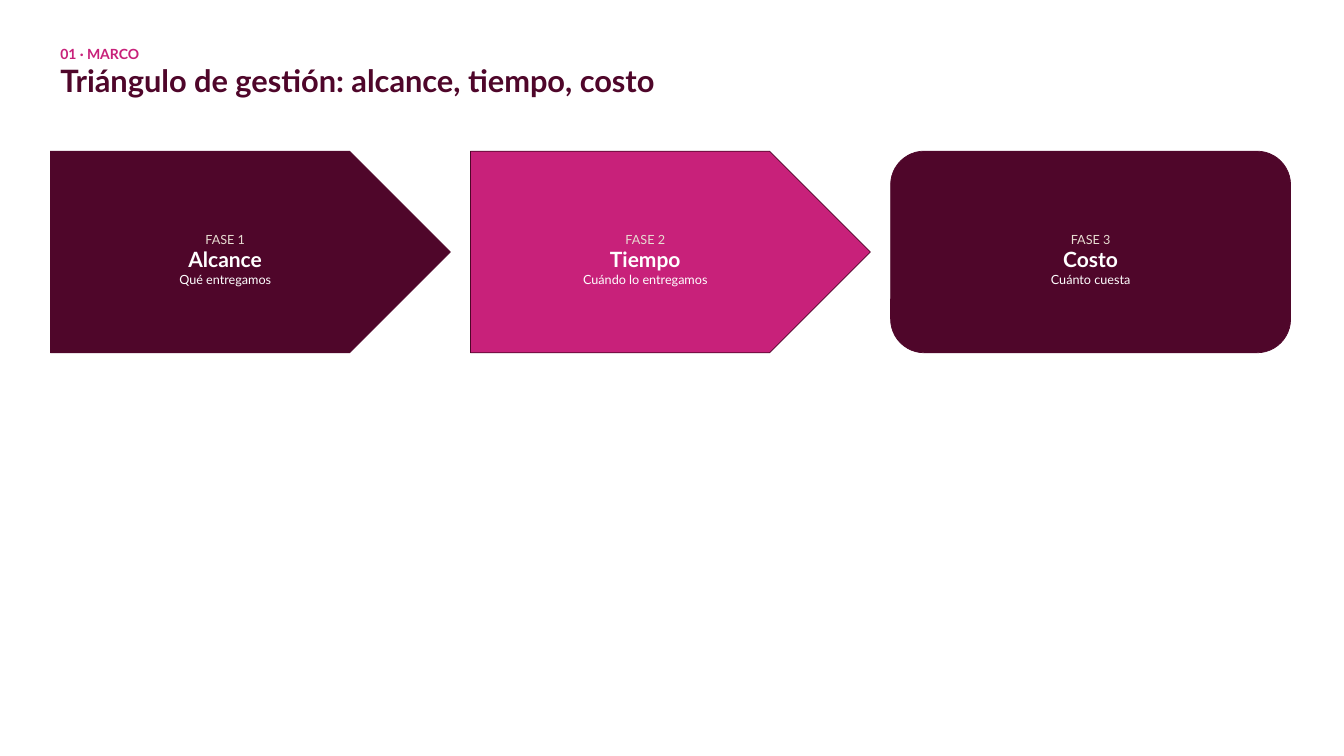
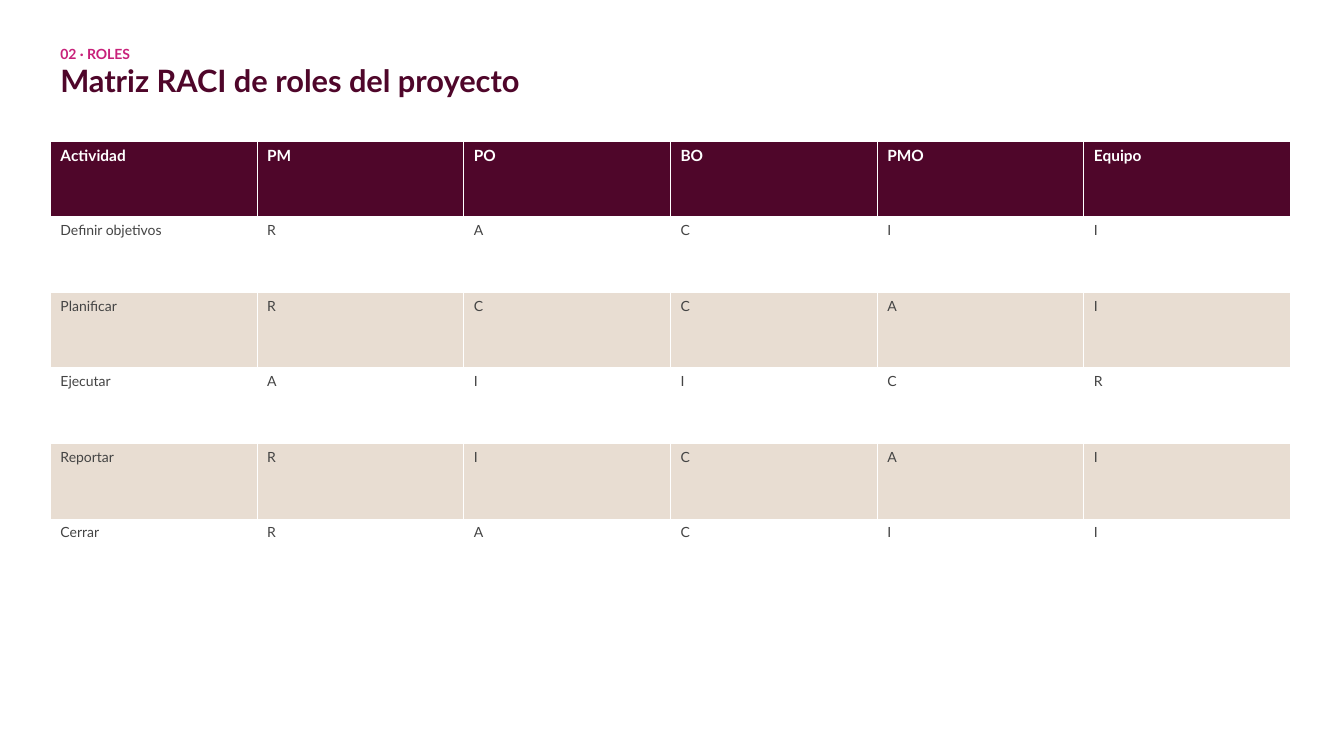
from pptx import Presentation
from pptx import util as u
from pptx.dml.color import RGBColor
from pptx.enum import shapes, text

PX = 9144  # 100 px to the inch
FONT = "Lato"
COLORS = {
    "wine": "4F062A",
    "pink": "C8217A",
    "sand": "E8DDD2",
    "white": "FFFFFF",
    "ink": "444444",
}
LEFT, CONTENT_WIDTH = 50, 1230


def px(*lengths):
    return [u.Emu(round(length * PX)) for length in lengths]


def style(paragraph, size, color, bold=False):
    for run in paragraph.runs:
        run.font.name = FONT
        run.font.size = u.Pt(size)
        run.font.bold = bold
        run.font.color.rgb = RGBColor.from_string(COLORS[color])


prs = Presentation()
prs.slide_width, prs.slide_height = px(1333, 750)

# Slides with their section label and title
headings = [
    ("01 · MARCO", "Triángulo de gestión: alcance, tiempo, costo"),
    ("02 · ROLES", "Matriz RACI de roles del proyecto"),
]
slides = []
for section, title in headings:
    slide = prs.slides.add_slide(prs.slide_layouts[6])
    heading = slide.shapes.add_textbox(*px(LEFT, 40, CONTENT_WIDTH, 50)).text_frame
    heading.word_wrap = False
    heading.auto_size = text.MSO_AUTO_SIZE.SHAPE_TO_FIT_TEXT
    heading.text = f"{section}\n{title}"
    style(heading.paragraphs[0], 10, "pink", bold=True)
    style(heading.paragraphs[1], 22, "wine", bold=True)
    slides.append(slide)
framework, roles = slides

# Phases: two arrows leading to a rounded box
ARROW, BOX = shapes.MSO_SHAPE.PENTAGON, shapes.MSO_SHAPE.ROUNDED_RECTANGLE
phases = [
    ("Alcance", "Qué entregamos", ARROW, "wine"),
    ("Tiempo", "Cuándo lo entregamos", ARROW, "pink"),
    ("Costo", "Cuánto cuesta", BOX, "wine"),
]
GAP = 20
phase_width = (CONTENT_WIDTH - GAP * (len(phases) - 1)) / len(phases)
for i, (name, question, outline, color) in enumerate(phases):
    phase = framework.shapes.add_shape(
        outline, *px(LEFT + i * (phase_width + GAP), 150, phase_width, 200))
    phase.shadow.inherit = False
    phase.fill.solid()
    phase.fill.fore_color.rgb = RGBColor.from_string(COLORS[color])
    phase.line.color.rgb = RGBColor.from_string(COLORS["wine"])
    phase.line.width = u.Pt(0.5)

    label = phase.text_frame
    label.margin_left, label.margin_top, label.margin_right, label.margin_bottom = px(20, 20, 20, 5)
    label.vertical_anchor = text.MSO_ANCHOR.MIDDLE
    label.text = f"FASE {i + 1}\n{name}\n{question}"
    for paragraph in label.paragraphs:
        paragraph.alignment = text.PP_ALIGN.CENTER
    style(label.paragraphs[0], 9, "sand")
    style(label.paragraphs[1], 15, "white", bold=True)
    style(label.paragraphs[2], 9, "white")

# RACI matrix: the default table style supplies the white borders
matrix = [
    ("Actividad", "PM", "PO", "BO", "PMO", "Equipo"),
    ("Definir objetivos", *"RACII"),
    ("Planificar", *"RCCAI"),
    ("Ejecutar", *"AIICR"),
    ("Reportar", *"RICAI"),
    ("Cerrar", *"RACII"),
]
raci = roles.shapes.add_table(
    len(matrix), len(matrix[0]), *px(LEFT, 140, CONTENT_WIDTH, 75 * len(matrix))).table
for r, row in enumerate(matrix):
    is_header = r == 0
    band = "wine" if is_header else ("white", "sand")[(r - 1) % 2]
    for c, value in enumerate(row):
        cell = raci.cell(r, c)
        cell.text_frame.text = value
        cell.fill.solid()
        cell.fill.fore_color.rgb = RGBColor.from_string(COLORS[band])
        style(cell.text_frame.paragraphs[0], 11 if is_header else 10,
              "white" if is_header else "ink", bold=is_header)

prs.save("out.pptx")
